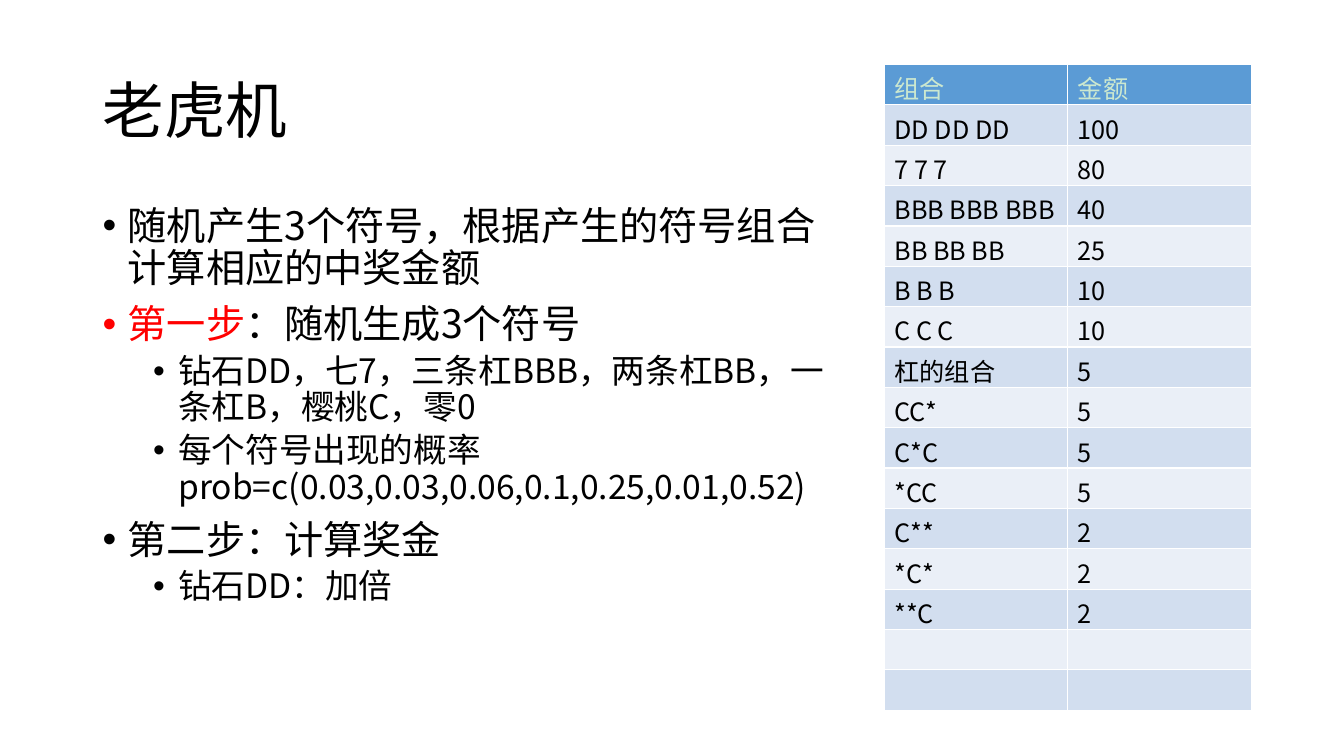
from dataclasses import dataclass

from lxml import etree
from pptx import Presentation
from pptx import util as u
from pptx.dml.color import RGBColor
from pptx.enum import text
from pptx.oxml import ns


@dataclass(frozen=True)
class Theme:
    font: str = "Noto Sans CJK SC"
    paper: str = "FFFFFF"
    ink: str = "000000"
    accent: str = "FF0000"
    header_ink: str = "CCE8CF"
    header_fill: str = "5B9BD5"
    bands: tuple = ("D2DEEF", "EAEFF7")
    title_size: int = 44
    body_sizes: tuple = (28, 24)
    body_gaps: tuple = (10, 5)
    body_indents: tuple = (0.25, 0.75)
    hanging: float = 0.25
    table_size: int = 18
    line_spacing: float = 0.9
    border: float = 1


def set_all(target, values):
    for name, value in values.items():
        setattr(target, name, value)


class SlideBuilder:
    """Adds styled elements; places are percentages of the slide's size."""

    def __init__(self, deck, theme):
        self.deck, self.theme = deck, theme
        self.page = deck.slides.add_slide(deck.slide_layouts[6])
        self.paint(self.page.background.fill, theme.paper)

    def paint(self, fill, color):
        fill.solid()
        fill.fore_color.rgb = RGBColor.from_string(color)

    def place(self, left, top, width, height):
        across, down = self.deck.slide_width / 100, self.deck.slide_height / 100
        return (round(left * across), round(top * down),
                round(width * across), round(height * down))

    def span(self, para, words, size, color):
        span = para.add_run()
        span.text = words
        set_all(span.font, {"size": u.Pt(size), "name": self.theme.font, "bold": False})
        span.font.color.rgb = RGBColor.from_string(color)
        east_asian = etree.SubElement(span.font._element, ns.qn("a:ea"))
        east_asian.set("typeface", self.theme.font)

    def frame(self, place, **values):
        box = self.page.shapes.add_textbox(*self.place(*place))
        set_all(box.text_frame, {"word_wrap": True, **values})
        return box.text_frame

    def title(self, words, place):
        frame = self.frame(place, vertical_anchor=text.MSO_ANCHOR.MIDDLE)
        para = frame.paragraphs[0]
        para.line_spacing = self.theme.line_spacing
        self.span(para, words, self.theme.title_size, self.theme.ink)

    def bullet(self, para, level):
        properties = para._p.get_or_add_pPr()
        properties.set("marL", str(u.Inches(self.theme.body_indents[level])))
        properties.set("indent", str(-u.Inches(self.theme.hanging)))
        etree.SubElement(properties, ns.qn("a:buFont")).set("typeface", "Arial")
        etree.SubElement(properties, ns.qn("a:buChar")).set("char", "•")

    def bullets(self, items, place):
        """Each item is a level followed by (words, color) spans."""
        theme = self.theme
        frame = self.frame(place, auto_size=text.MSO_AUTO_SIZE.TEXT_TO_FIT_SHAPE)
        for index, (level, *spans) in enumerate(items):
            para = frame.add_paragraph() if index else frame.paragraphs[0]
            gap = theme.body_gaps[level] if index else 0
            set_all(para, {"level": level, "line_spacing": theme.line_spacing,
                           "space_before": u.Pt(gap)})
            self.bullet(para, level)
            for words, color in spans:
                self.span(para, words, theme.body_sizes[level], color)

    def borders(self, cell):
        properties = cell._tc.get_or_add_tcPr()
        for side in ("lnL", "lnR", "lnT", "lnB"):
            line = etree.SubElement(properties, ns.qn(f"a:{side}"))
            line.set("w", str(u.Pt(self.theme.border)))
            solid = etree.SubElement(line, ns.qn("a:solidFill"))
            etree.SubElement(solid, ns.qn("a:srgbClr")).set("val", self.theme.paper)

    def table(self, rows, place):
        theme = self.theme
        shape = self.page.shapes.add_table(len(rows), len(rows[0]), *self.place(*place))
        set_all(shape.table, {"first_row": False, "horz_banding": False})
        for r, row in enumerate(rows):
            fill = theme.bands[(r - 1) % 2] if r else theme.header_fill
            ink = theme.ink if r else theme.header_ink
            for c, words in enumerate(row):
                cell = shape.table.cell(r, c)
                self.borders(cell)
                self.paint(cell.fill, fill)
                if words:
                    para = cell.text_frame.paragraphs[0]
                    self.span(para, words, theme.table_size, ink)


def main():
    deck = Presentation()
    set_all(deck, {"slide_width": u.Inches(13.33), "slide_height": u.Inches(7.5)})
    theme = Theme()
    slide = SlideBuilder(deck, theme)
    ink = theme.ink

    slide.title("老虎机", (6.9, 5.33, 86.25, 19.33))
    slide.bullets([
        (0, ("随机产生3个符号，根据产生的符号组合计算相应的中奖金额", ink)),
        (0, ("第一步", theme.accent), ("：随机生成3个符号", ink)),
        (1, ("钻石DD，七7，三条杠BBB，两条杠BB，一条杠B，樱桃C，零0", ink)),
        (1, ("每个符号出现的概率prob=c(0.03,0.03,0.06,0.1,0.25,0.01,0.52)", ink)),
        (0, ("第二步：计算奖金", ink)),
        (1, ("钻石DD：加倍", ink)),
    ], (6.9, 26.67, 56.25, 63.47))

    prizes = [
        ("组合", "金额"), ("DD DD DD", "100"), ("7 7 7", "80"),
        ("BBB BBB BBB", "40"), ("BB BB BB", "25"), ("B B B", "10"),
        ("C C C", "10"), ("杠的组合", "5"), ("CC*", "5"), ("C*C", "5"),
        ("*CC", "5"), ("C**", "2"), ("*C*", "2"), ("**C", "2"),
        ("", ""), ("", ""),
    ]
    slide.table(prizes, (65.8, 8.53, 27.3, 85.33))
    deck.save("out.pptx")


if __name__ == "__main__":
    main()
